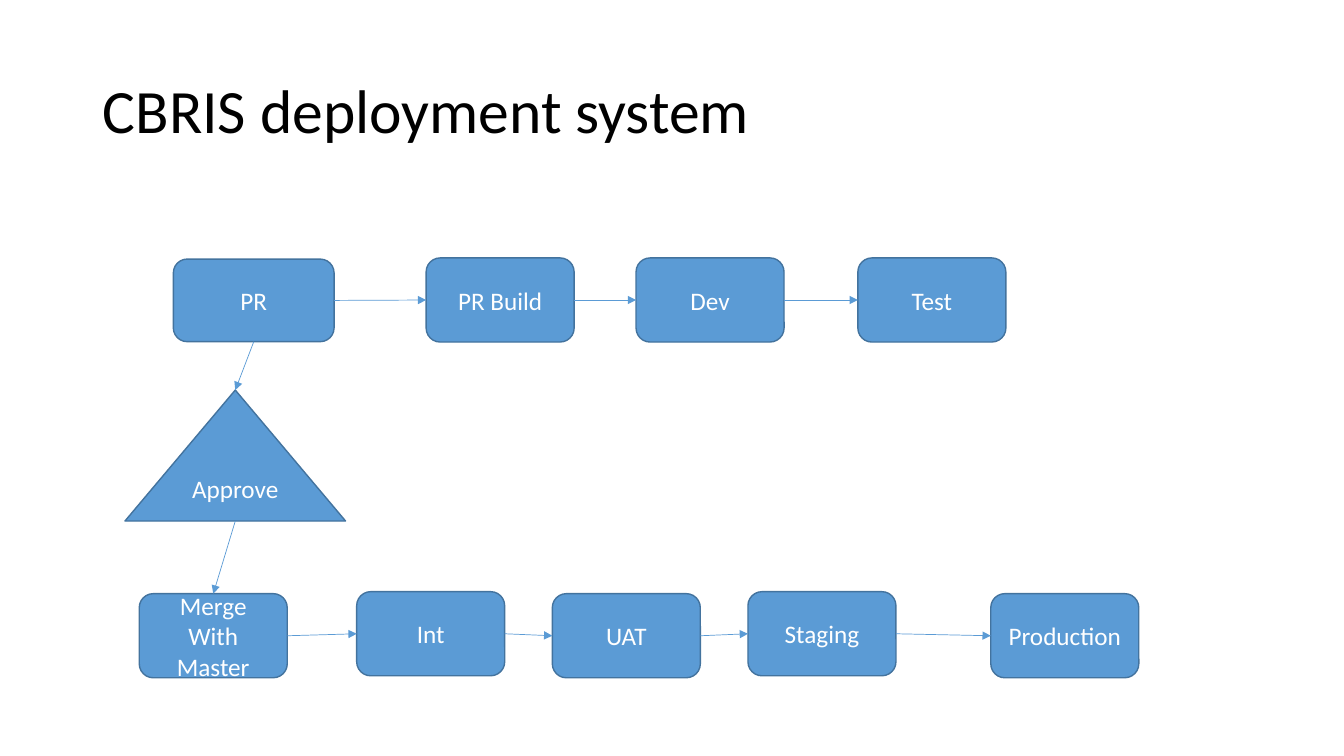
from lxml import etree
from pptx import Presentation
from pptx import util as u
from pptx.dml.color import RGBColor
from pptx.enum import shapes, text
from pptx.oxml import ns

BLACK = RGBColor(0x00, 0x00, 0x00)
WHITE = RGBColor(0xFF, 0xFF, 0xFF)
BLUE = RGBColor(0x5B, 0x9B, 0xD5)
OUTLINE = RGBColor(0x43, 0x73, 0x9E)
ROUNDED = shapes.MSO_SHAPE.ROUNDED_RECTANGLE
TRIANGLE = shapes.MSO_SHAPE.ISOSCELES_TRIANGLE

# Connection sites
TOP, LEFT, BOTTOM, RIGHT = range(4)
TRIANGLE_BOTTOM = 3

deck = Presentation()
deck.slide_width, deck.slide_height = u.Cm(33.87), u.Cm(19.05)
page = deck.slides.add_slide(deck.slide_layouts[6])


def write(shape, words, size, color, align):
    frame = shape.text_frame
    frame.word_wrap = True
    frame.vertical_anchor = text.MSO_ANCHOR.MIDDLE
    para = frame.paragraphs[0]
    para.alignment = align
    span = para.add_run()
    span.text = words
    font_format = {"name": "Calibri", "size": u.Pt(size)}
    for name, value in font_format.items():
        setattr(span.font, name, value)
    span.font.color.rgb = color
    return para


def connect(start, start_site, end, end_site):
    arrow = page.shapes.add_connector(shapes.MSO_CONNECTOR.STRAIGHT, 0, 0, 0, 0)
    arrow.begin_connect(start, start_site)
    arrow.end_connect(end, end_site)
    arrow.line.color.rgb = BLUE
    arrow.line.width = u.Pt(0.5)
    etree.SubElement(arrow.line._get_or_add_ln(), ns.qn("a:tailEnd"), type="triangle")
    etree.SubElement(arrow._element.spPr, ns.qn("a:effectLst"))
    return arrow


# Title
title = page.shapes.add_textbox(u.Cm(2.34), u.Cm(1.02), u.Cm(29.21), u.Cm(3.68))
heading = write(title, "CBRIS deployment system", 44, BLACK, text.PP_ALIGN.LEFT)
heading.line_spacing = 0.9

# Steps: name, shape, left, top, width, height
BOX = (3.73, 2.12)
steps = [
    ("PR", ROUNDED, 4.37, 6.53, 4.05, 2.08),
    ("PR Build", ROUNDED, 10.74, 6.5, *BOX),
    ("Dev", ROUNDED, 16.03, 6.5, *BOX),
    ("Test", ROUNDED, 21.62, 6.5, *BOX),
    ("Approve", TRIANGLE, 3.15, 9.83, 5.56, 3.3),
    ("Merge With Master", ROUNDED, 3.51, 14.96, *BOX),
    ("Int", ROUNDED, 8.99, 14.91, *BOX),
    ("UAT", ROUNDED, 13.92, 14.96, *BOX),
    ("Staging", ROUNDED, 18.85, 14.91, *BOX),
    ("Production", ROUNDED, 24.97, 14.96, *BOX),
]
boxes = {}
for name, kind, *place in steps:
    box = page.shapes.add_shape(kind, *map(u.Cm, place))
    box.shadow.inherit = False
    box.fill.solid()
    box.fill.fore_color.rgb = BLUE
    box.line.color.rgb = OUTLINE
    box.line.width = u.Pt(1)
    write(box, name, 18, WHITE, text.PP_ALIGN.CENTER)
    boxes[name] = box

# Arrows along each row
rows = [
    ["PR", "PR Build", "Dev", "Test"],
    ["Merge With Master", "Int", "UAT", "Staging", "Production"],
]
for row in rows:
    for start, end in zip(row, row[1:]):
        connect(boxes[start], RIGHT, boxes[end], LEFT)

# Arrows through the approval
approve = boxes["Approve"]
connect(boxes["PR"], BOTTOM, approve, TOP)
merge_arrow = connect(approve, TRIANGLE_BOTTOM, boxes["Merge With Master"], TOP)
merge_arrow.begin_x = approve.left + approve.width // 2
merge_arrow.begin_y = approve.top + approve.height

deck.save("out.pptx")
